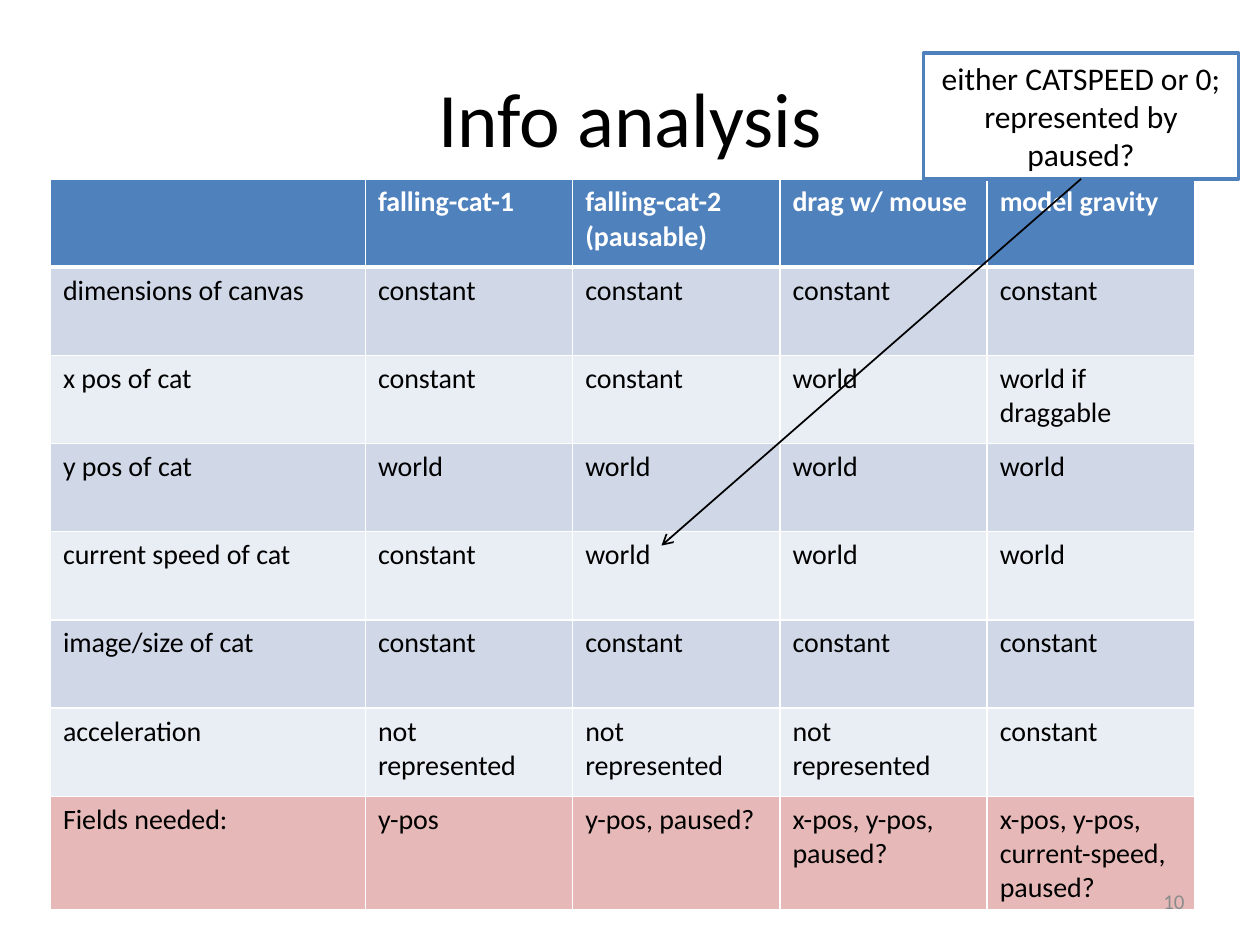
from dataclasses import dataclass

from lxml.etree import SubElement
from pptx import Presentation
from pptx.dml.color import RGBColor
from pptx.enum.shapes import MSO_CONNECTOR as Connector, MSO_SHAPE as Preset
from pptx.enum.text import MSO_ANCHOR as Anchor, PP_ALIGN as Align
from pptx.oxml.ns import qn
from pptx.util import Inches, Pt

WIDTH, HEIGHT = 10, 7.5
BLACK, WHITE, BLUE = "000000", "FFFFFF", "4F81BD"
BANDS = ("D0D8E8", "E9EDF4")
PINK = "E6B9B8"

# Table grid
LEFT, TOP = 0.4, 1.42
COLUMNS = [2.5] + [1.645] * 4
ROWS = [0.7] * 7 + [0.9]
CELLS = [
    ["", "falling-cat-1", "falling-cat-2 (pausable)", "drag w/ mouse", "model gravity"],
    ["dimensions of canvas"] + ["constant"] * 4,
    ["x pos of cat", "constant", "constant", "world", "world if draggable"],
    ["y pos of cat"] + ["world"] * 4,
    ["current speed of cat", "constant"] + ["world"] * 3,
    ["image/size of cat"] + ["constant"] * 4,
    ["acceleration"] + ["not represented"] * 3 + ["constant"],
    ["Fields needed:", "y-pos", "y-pos, paused?", "x-pos, y-pos, paused?",
     "x-pos, y-pos, current-speed, paused?"],
]


@dataclass
class Label:
    """A text frame placed by shares of the slide's size."""
    text: str
    left: float
    top: float
    width: float
    height: float
    size: int
    align: Align = Align.CENTER
    color: str = BLACK

    def box(self) -> list:
        return [Inches(self.left * WIDTH), Inches(self.top * HEIGHT),
                Inches(self.width * WIDTH), Inches(self.height * HEIGHT)]


TITLE = Label("Info analysis", 0.05, 0.04, 0.9, 1 / 6, 44)
CALLOUT = Label("either CATSPEED or 0; represented by paused?",
                0.733, 0.056, 0.25, 2 / 15, 18)
NUMBER = Label("10", 0.717, 0.927, 0.233, 0.053, 12, Align.RIGHT, "8C8C8C")


def rgb(color: str) -> RGBColor:
    return RGBColor.from_string(color)


def write(paragraph, text: str, size: int, color: str, bold: bool = False) -> None:
    run = paragraph.add_run()
    run.text = text
    font_format = {"name": "Calibri", "size": Pt(size), "bold": bold}
    for name, value in font_format.items():
        setattr(run.font, name, value)
    run.font.color.rgb = rgb(color)


def fill_label(shape, label: Label) -> None:
    frame = shape.text_frame
    frame_format = {"word_wrap": True, "vertical_anchor": Anchor.MIDDLE}
    for name, value in frame_format.items():
        setattr(frame, name, value)
    paragraph = frame.paragraphs[0]
    paragraph.alignment = label.align
    write(paragraph, label.text, label.size, label.color)


def add_label(slide, label: Label) -> None:
    fill_label(slide.shapes.add_textbox(*label.box()), label)


def add_borders(cell, bottom: int) -> None:
    properties = cell._tc.get_or_add_tcPr()
    for side, points in {"L": 1, "R": 1, "T": 1, "B": bottom}.items():
        line = SubElement(properties, qn(f"a:ln{side}"), w=str(Pt(points)))
        SubElement(SubElement(line, qn("a:solidFill")), qn("a:srgbClr"), val=WHITE)


def row_fill(row: int) -> str:
    if row == 0:
        return BLUE
    return PINK if row == len(ROWS) - 1 else BANDS[(row - 1) % 2]


def add_analysis_table(slide) -> None:
    table = slide.shapes.add_table(
        len(ROWS), len(COLUMNS), Inches(LEFT), Inches(TOP),
        Inches(sum(COLUMNS)), Inches(sum(ROWS))).table
    for column, width in zip(table.columns, COLUMNS):
        column.width = Inches(width)
    for index, (row, height) in enumerate(zip(table.rows, ROWS)):
        row.height = Inches(height)
        header = index == 0
        for cell, text in zip(row.cells, CELLS[index]):
            add_borders(cell, 3 if header else 1)
            cell.fill.solid()
            cell.fill.fore_color.rgb = rgb(row_fill(index))
            if text:
                write(cell.text_frame.paragraphs[0], text, 16,
                      WHITE if header else BLACK, header)


def add_callout(slide, label: Label):
    shape = slide.shapes.add_shape(Preset.RECTANGLE, *label.box())
    shape.shadow.inherit = False
    shape.fill.solid()
    shape.fill.fore_color.rgb = rgb(WHITE)
    shape.line.color.rgb = rgb(BLUE)
    shape.line.width = Pt(2)
    fill_label(shape, label)
    return shape


def add_arrow(slide, source, x: float, y: float) -> None:
    """Arrow from the bottom middle of source to a point on the slide."""
    arrow = slide.shapes.add_connector(
        Connector.STRAIGHT, 0, 0, Inches(x), Inches(y))
    arrow.begin_connect(source, 2)
    arrow.line.color.rgb = rgb(BLACK)
    arrow.line.width = Pt(1)
    SubElement(arrow.line._get_or_add_ln(), qn("a:tailEnd"), type="arrow")
    SubElement(arrow._element.spPr, qn("a:effectLst"))


def main() -> None:
    presentation = Presentation()
    presentation.slide_width = Inches(WIDTH)
    presentation.slide_height = Inches(HEIGHT)
    slide = presentation.slides.add_slide(presentation.slide_layouts[6])

    # Title and table
    add_label(slide, TITLE)
    add_analysis_table(slide)

    # Callout pointing at the speed of the pausable cat
    callout = add_callout(slide, CALLOUT)
    add_arrow(slide, callout, 5.25, 4.33)

    # Slide number
    add_label(slide, NUMBER)
    presentation.save("out.pptx")


if __name__ == "__main__":
    main()
